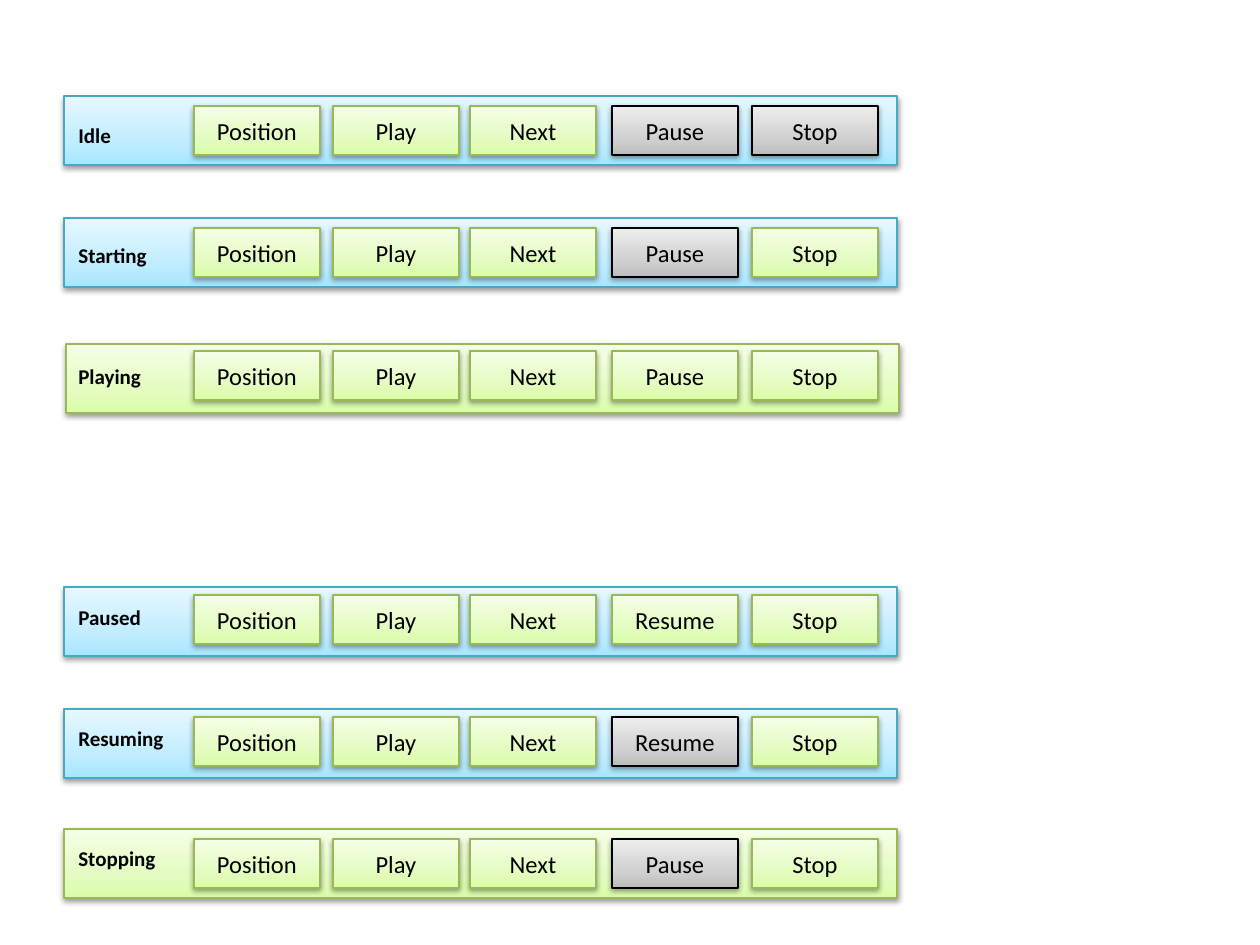
from copy import deepcopy

from lxml import etree
from pptx import Presentation
from pptx import util as u
from pptx.dml.color import RGBColor
from pptx.enum import shapes, text
from pptx.oxml import ns

PX = u.Inches(1) / 126
BLACK = RGBColor(0x00, 0x00, 0x00)

# Line colour, then gradient colours from bottom to top
BLUE = [RGBColor.from_string(c) for c in ("46AAC5", "A7E6FF", "C1EDFF", "E7F8FF")]
GREEN = [RGBColor.from_string(c) for c in ("98B955", "DAFDA7", "E4FCC2", "F5FFE7")]
GREY = [RGBColor.from_string(c) for c in ("000000", "BDBDBD", "D1D1D1", "EEEEEE")]
STOPS = (0, 0.35, 1)

# State, bar style, bar left and top, label top and width, button top,
# fourth button, disabled buttons
STATES = [
    ("Idle", BLUE, 64, 96, 116, 58, 106, "Pause", ("Pause", "Stop")),
    ("Starting", BLUE, 64, 218, 236, 94, 228, "Pause", ("Pause",)),
    ("Playing", GREEN, 66, 344, 357, 89, 351, "Pause", ()),
    ("Paused", BLUE, 64, 587, 598, 88, 595, "Resume", ()),
    ("Resuming", BLUE, 64, 709, 719, 112, 717, "Resume", ("Resume",)),
    ("Stopping", GREEN, 64, 829, 839, 103, 839, "Pause", ("Pause",)),
]
BUTTON_LEFTS = (194, 333, 470, 612, 752)


def add_box(left, top, width, height, style):
    """Add a rectangle with a three-stop gradient and a soft shadow."""
    sp = slide.shapes.add_shape(
        shapes.MSO_SHAPE.RECTANGLE, *(round(v * PX) for v in (left, top, width, height)))
    sp.line.color.rgb = style[0]
    sp.line.width = u.Pt(0.75)
    sp.fill.gradient()
    sp.fill.gradient_angle = 90
    stop_list = sp._element.spPr.find(".//" + ns.qn("a:gsLst"))
    stop_list.append(deepcopy(stop_list[0]))
    for stop, position, color in zip(sp.fill.gradient_stops, STOPS, style[1:]):
        stop.position = position
        stop.color.rgb = color
    sp.shadow.inherit = False
    effects = sp._element.spPr.find(ns.qn("a:effectLst"))
    shadow = etree.SubElement(effects, ns.qn("a:outerShdw"), blurRad="40000",
                              dist="20000", dir="5400000", rotWithShape="0")
    color = etree.SubElement(shadow, ns.qn("a:srgbClr"), val="000000")
    etree.SubElement(color, ns.qn("a:alpha"), val="38000")
    return sp


def add_text(sp, words, frame_format, font_format, align):
    """Write one formatted paragraph into a shape."""
    tf = sp.text_frame
    for name, value in frame_format.items():
        setattr(tf, name, value)
    p = tf.paragraphs[0]
    p.alignment = align
    r = p.add_run()
    r.text = words
    for name, value in font_format.items():
        setattr(r.font, name, value)
    r.font.color.rgb = BLACK


LABEL_FRAME = {"word_wrap": False, "auto_size": text.MSO_AUTO_SIZE.SHAPE_TO_FIT_TEXT}
LABEL_FONT = {"name": "Calibri", "size": u.Pt(12), "bold": True}
BUTTON_FRAME = {"word_wrap": True, "vertical_anchor": text.MSO_ANCHOR.MIDDLE}
BUTTON_FONT = {"name": "Calibri", "size": u.Pt(14)}

prs = Presentation()
prs.slide_width, prs.slide_height = u.Inches(10), u.Inches(7.5)
slide = prs.slides.add_slide(prs.slide_layouts[6])

for (state, style, bar_left, bar_top, label_top, label_width,
     button_top, fourth, disabled) in STATES:
    # State bar
    add_box(bar_left, bar_top, 833, 69, style)

    # State label
    label = slide.shapes.add_textbox(
        *(round(v * PX) for v in (66, label_top, label_width, 38)))
    add_text(label, state, LABEL_FRAME, LABEL_FONT, text.PP_ALIGN.LEFT)

    # Buttons, grey when disabled
    buttons = ("Position", "Play", "Next", fourth, "Stop")
    for left, name in zip(BUTTON_LEFTS, buttons):
        button = add_box(left, button_top, 126, 49, GREY if name in disabled else GREEN)
        add_text(button, name, BUTTON_FRAME, BUTTON_FONT, text.PP_ALIGN.CENTER)

prs.save("out.pptx")
